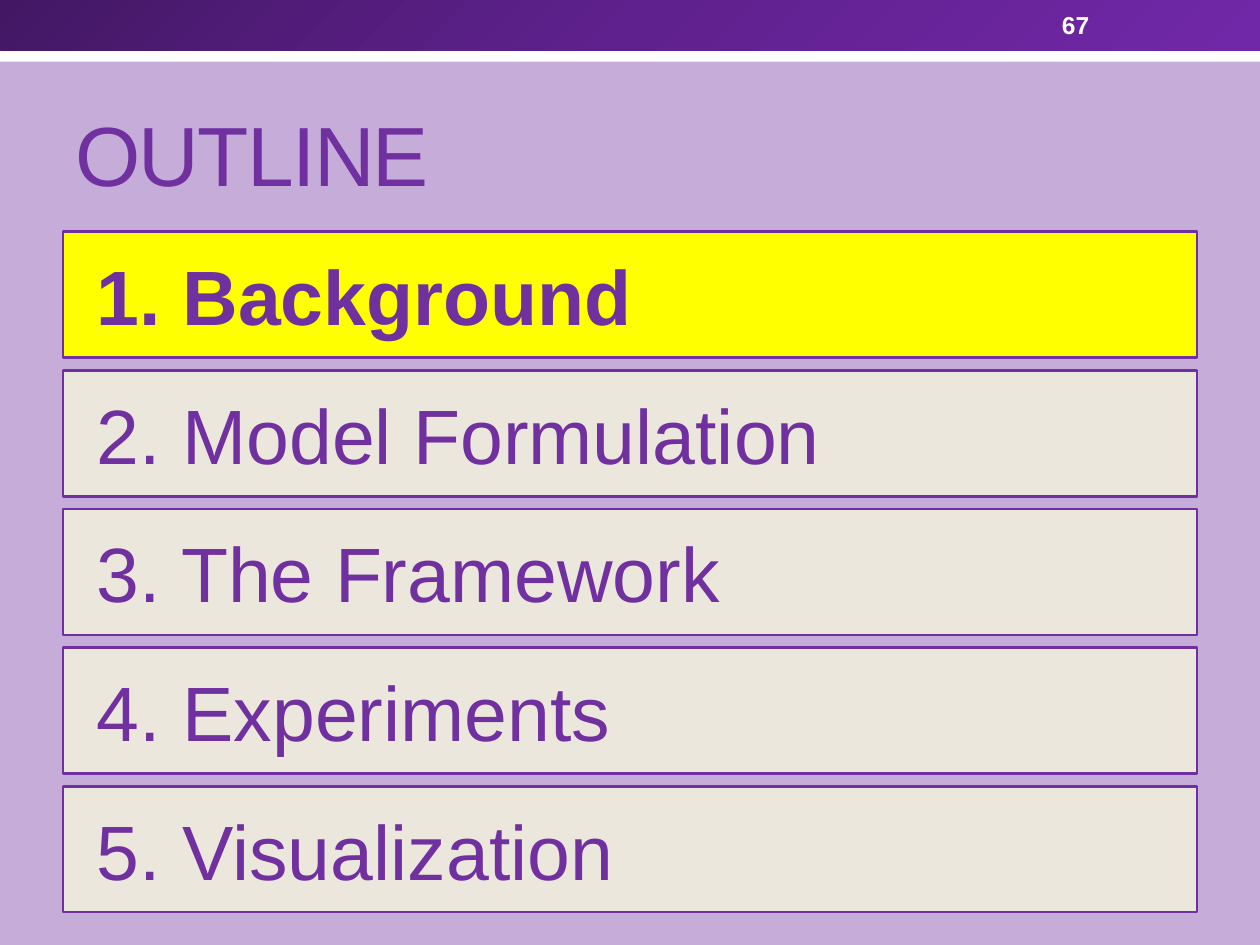
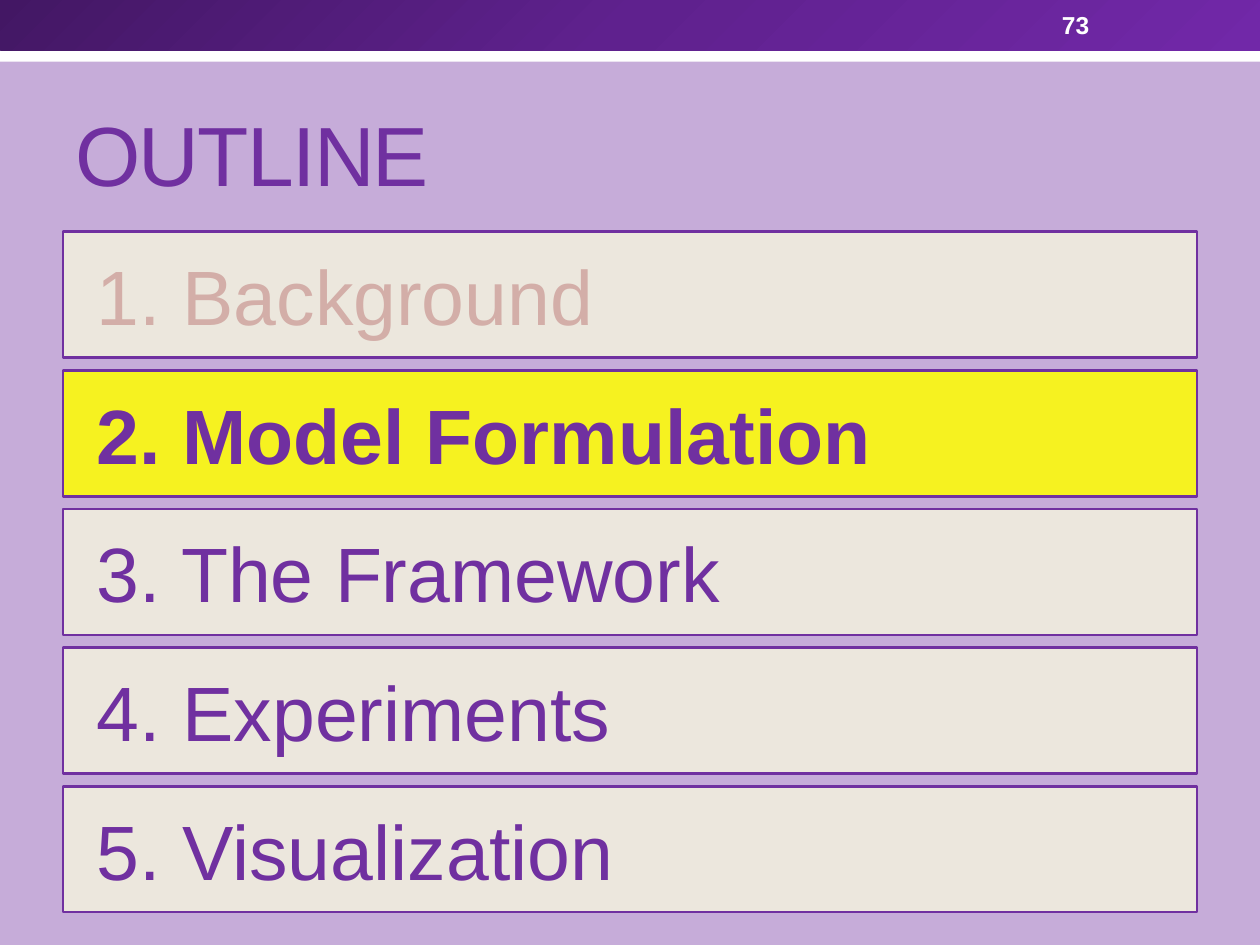
from copy import deepcopy
from pptx import Presentation
from pptx.dml.color import RGBColor
from pptx.enum.shapes import MSO_SHAPE as Shape
from pptx.enum.text import MSO_ANCHOR as Anchor, PP_ALIGN as Align
from pptx.oxml.ns import qn
from pptx.util import Inches, Pt

PURPLE = RGBColor(0x70, 0x30, 0xA0)
LILAC = RGBColor(0xC6, 0xAC, 0xD9)
CREAM = RGBColor(0xF3, 0xF2, 0xDE)
YELLOW = RGBColor(0xFF, 0xFF, 0x00)
ROSE = RGBColor(0xD3, 0xAE, 0xA8)
WHITE = RGBColor(0xFF, 0xFF, 0xFF)
SHADES = [(0, RGBColor(0x43, 0x17, 0x64)),
          (0.5, RGBColor(0x5F, 0x21, 0x8E)),
          (1, RGBColor(0x71, 0x28, 0xA8))]
FONT = "Arial"

TOPICS = ["Background", "Model Formulation", "The Framework",
          "Experiments", "Visualization"]
# Page number, current topic, opacity of its yellow in percent
PAGES = [("67", 0, 100), ("73", 1, 85)]


def add_rect(slide, left, top, width, height):
    rect = slide.shapes.add_shape(Shape.RECTANGLE, Inches(left), Inches(top),
                                  Inches(width), Inches(height))
    rect.shadow.inherit = False
    rect.line.fill.background()
    return rect


def add_text(shape, text, size, color, bold=False, anchor=Anchor.MIDDLE):
    frame = shape.text_frame
    frame.word_wrap = True
    frame.vertical_anchor = anchor
    para = frame.paragraphs[0]
    para.alignment = Align.LEFT
    run = para.add_run()
    run.text = text
    font = run.font
    font.name, font.size, font.bold = FONT, Pt(size), bold
    font.color.rgb = color
    return run


prs = Presentation()
prs.slide_width, prs.slide_height = Inches(10), Inches(7.5)

for number, current, opacity in PAGES:
    slide = prs.slides.add_slide(prs.slide_layouts[6])
    back = slide.background.fill
    back.solid()
    back.fore_color.rgb = LILAC

    # White strip under the gradient band
    strip = add_rect(slide, 0, 0.24, 10, 0.25)
    strip.fill.solid()
    strip.fill.fore_color.rgb = WHITE
    band = add_rect(slide, 0, 0, 10, 0.4)
    band.fill.gradient()
    band.fill.gradient_angle = 315
    stops = band.fill._fill._gradFill.find(qn("a:gsLst"))
    stops.append(deepcopy(stops[0]))
    for stop, (place, shade) in zip(band.fill.gradient_stops, SHADES):
        stop.position = place
        stop.color.rgb = shade

    # Title
    title = slide.shapes.add_textbox(Inches(0.5), Inches(0.58),
                                     Inches(9), Inches(1.08))
    run = add_text(title, "OUTLINE", 48, PURPLE, anchor=Anchor.BOTTOM)
    run.font._element.set("spc", "-100")

    # Topic boxes: current one yellow, finished ones faded
    for i, topic in enumerate(TOPICS):
        active = i == current
        box = add_rect(slide, 0.5, 1.84 + 1.1 * i, 9, 1)
        box.fill.solid()
        box.fill.fore_color.rgb = YELLOW if active else CREAM
        clear = opacity if active else 85
        if clear < 100:
            tone = box._element.spPr.find(qn("a:solidFill"))[0]
            alpha = tone.makeelement(qn("a:alpha"), {"val": str(clear * 1000)})
            tone.append(alpha)
        box.line.color.rgb = PURPLE
        box.line.width = Pt(1.5)
        box.text_frame.margin_left = Inches(0.27)
        color = ROSE if i < current else PURPLE
        add_text(box, f"{i + 1}. {topic}", 44, color, bold=active)

    # Page number
    page = slide.shapes.add_textbox(Inches(8.33), Inches(0.02),
                                    Inches(1.17), Inches(0.36))
    add_text(page, number, 14, WHITE, bold=True)

prs.save("out.pptx")
